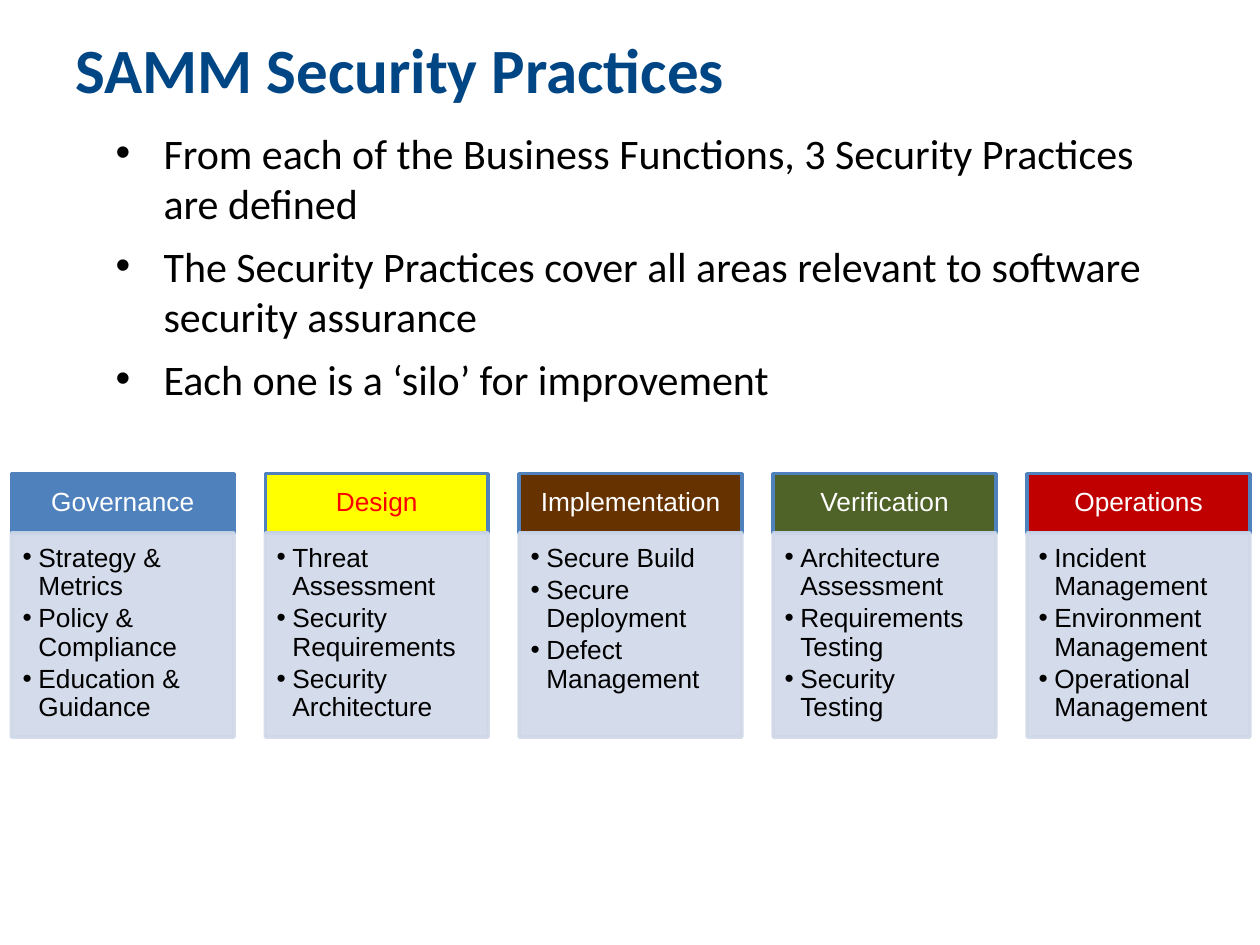
from lxml import etree
from pptx import Presentation
from pptx.dml.color import RGBColor
from pptx.enum.shapes import MSO_SHAPE
from pptx.enum.text import MSO_ANCHOR, PP_ALIGN
from pptx.oxml.ns import qn
from pptx.util import Inches, Pt

RECTANGLE = MSO_SHAPE.RECTANGLE
TOP, MIDDLE = MSO_ANCHOR.TOP, MSO_ANCHOR.MIDDLE
LEFT, CENTER = PP_ALIGN.LEFT, PP_ALIGN.CENTER

COLUMNS, ROWS = 100, 75
CELL = Inches(10) / COLUMNS
GAP_SHARE = 0.14
HEADER_SHARE = 0.225
PANEL_OPACITY = 90

COLORS = {
    "title": "004685",
    "black": "000000",
    "white": "FFFFFF",
    "red": "FF0000",
    "blue": "4F81BD",
    "yellow": "FFFF00",
    "brown": "663300",
    "green": "4F6228",
    "crimson": "C00000",
    "panel": "D0D8E8",
}

POINTS = [
    "From each of the Business Functions, 3 Security Practices are defined",
    "The Security Practices cover all areas relevant to software security assurance",
    "Each one is a ‘silo’ for improvement",
]

FUNCTIONS = [
    ("Governance", "blue", "white",
     ["Strategy & Metrics", "Policy & Compliance", "Education & Guidance"]),
    ("Design", "yellow", "red",
     ["Threat Assessment", "Security Requirements", "Security Architecture"]),
    ("Implementation", "brown", "white",
     ["Secure Build", "Secure Deployment", "Defect Management"]),
    ("Verification", "green", "white",
     ["Architecture Assessment", "Requirements Testing", "Security Testing"]),
    ("Operations", "crimson", "white",
     ["Incident Management", "Environment Management", "Operational Management"]),
]


def cells(count):
    """Convert a number of grid cells to a length."""
    return round(count * CELL)


def color(name):
    """Look up a named colour."""
    return RGBColor.from_string(COLORS[name])


def set_frame(frame, insets, anchor):
    """Set wrapping, anchor and the left, top, right and bottom insets."""
    frame.word_wrap = True
    frame.vertical_anchor = anchor
    (frame.margin_left, frame.margin_top,
     frame.margin_right, frame.margin_bottom) = map(cells, insets)


def add_bullet(para, margin, hanging):
    """Give a paragraph a round bullet with a hanging indent."""
    properties = para._p.get_or_add_pPr()
    properties.set("marL", str(cells(margin)))
    properties.set("indent", str(-cells(hanging)))
    etree.SubElement(properties, qn("a:buFont")).set("typeface", "Arial")
    etree.SubElement(properties, qn("a:buChar")).set("char", "•")


def write(frame, texts, font, size, ink, align=LEFT, bold=False,
          bullet=None, spacing=1.0, gap=0):
    """Write one paragraph per text, with a gap between paragraphs."""
    for index, text in enumerate(texts):
        para = frame.add_paragraph() if index else frame.paragraphs[0]
        if bullet:
            add_bullet(para, *bullet)
        para.alignment = align
        para.line_spacing = spacing
        if index:
            para.space_before = Pt(gap)
        span = para.add_run()
        span.text = text
        span.font.name = font
        span.font.size = Pt(size)
        span.font.bold = bold
        span.font.color.rgb = color(ink)


def add_text(page, box, insets, anchor, texts, **style):
    """Place a text box in the given grid box."""
    frame = page.shapes.add_textbox(*map(cells, box)).text_frame
    set_frame(frame, insets, anchor)
    write(frame, texts, **style)


def add_block(page, box, fill, line, opacity=100):
    """Place a filled rectangle and return its text frame."""
    block = page.shapes.add_shape(RECTANGLE, *map(cells, box))
    block.shadow.inherit = False
    block.fill.solid()
    block.fill.fore_color.rgb = color(fill)
    block.line.color.rgb = color(line)
    block.line.width = Pt(2)
    if opacity < 100:
        for tint in block._element.spPr.iter(qn("a:srgbClr")):
            etree.SubElement(tint, qn("a:alpha")).set("val", str(opacity * 1000))
    return block.text_frame


def add_function(page, box, name, fill, ink, practices):
    """Place one business function: a header above its list of practices."""
    left, top, width, height = box
    header_height = height * HEADER_SHARE
    header = add_block(page, (left, top, width, header_height), fill, "blue")
    set_frame(header, (1.2, 0.7, 1.2, 0.7), MIDDLE)
    write(header, [name], "Arial", 15, ink, align=CENTER, spacing=0.9)
    panel = add_block(page, (left, top + header_height, width, height - header_height),
                      "panel", "panel", PANEL_OPACITY)
    set_frame(panel, (0.9, 0.9, 1.2, 1.3), TOP)
    write(panel, practices, "Arial", 15, "black", bullet=(1.25, 1.25),
          spacing=0.9, gap=2.25)


def add_functions(page, box):
    """Spread the business functions evenly across the box."""
    left, top, width, height = box
    count = len(FUNCTIONS)
    column = width / (count + (count - 1) * GAP_SHARE)
    for index, function in enumerate(FUNCTIONS):
        start = left + index * column * (1 + GAP_SHARE)
        add_function(page, (start, top, column, height), *function)


def main():
    """Build and save the deck."""
    deck = Presentation()
    deck.slide_width, deck.slide_height = cells(COLUMNS), cells(ROWS)
    page = deck.slides.add_slide(deck.slide_layouts[6])
    add_text(page, (5, 3, 90, 4.9), (1, 1, 1, 1), MIDDLE, ["SAMM Security Practices"],
             font="Calibri", size=36, ink="title", bold=True)
    add_text(page, (5, 9.1, 90, 59.4), (1, 1, 1, 1), TOP, POINTS,
             font="Calibri", size=24, ink="black", bullet=(7, 3.8), gap=7)
    add_functions(page, (0.9, 37.6, 98.3, 20.9))
    deck.save("out.pptx")


if __name__ == "__main__":
    main()
